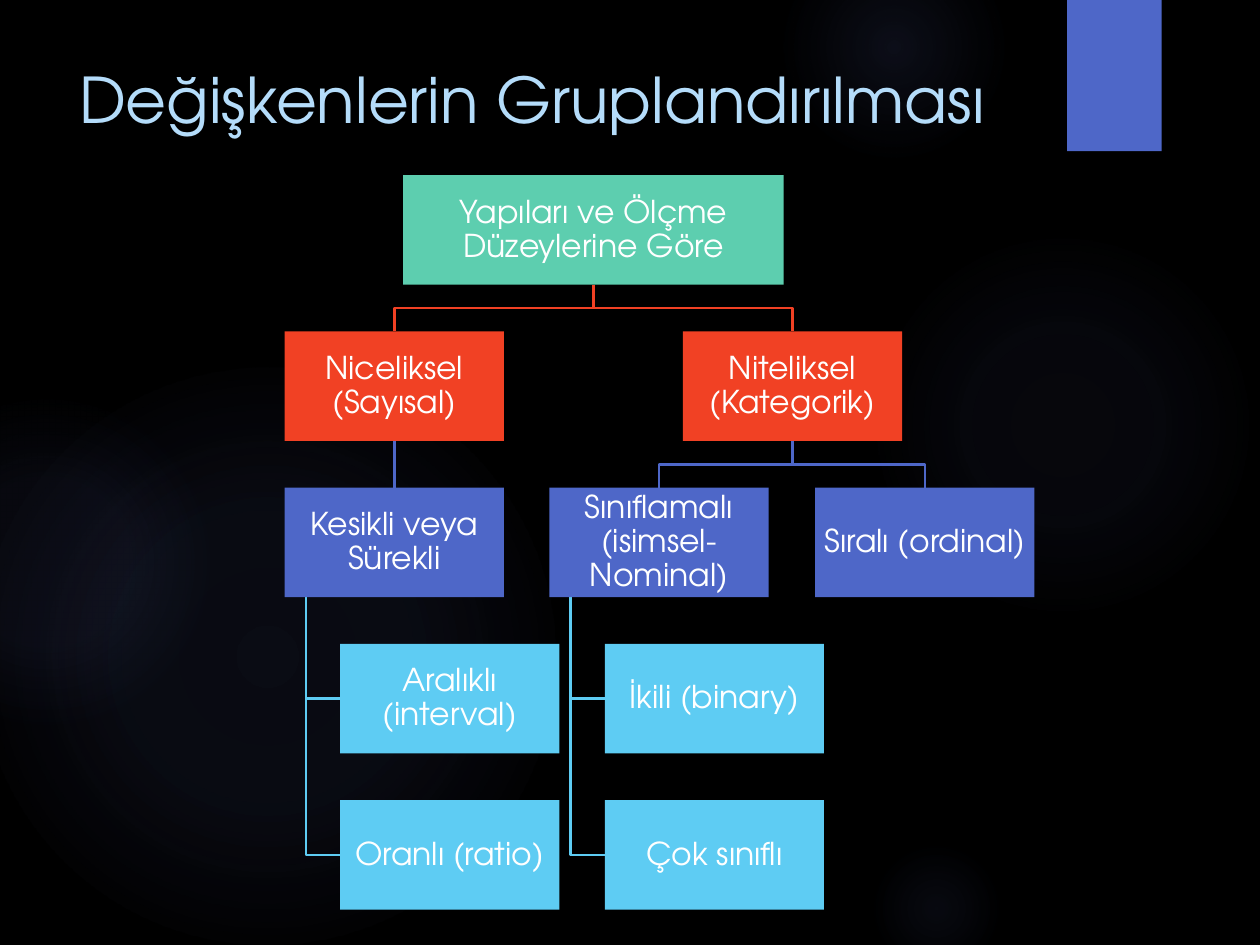
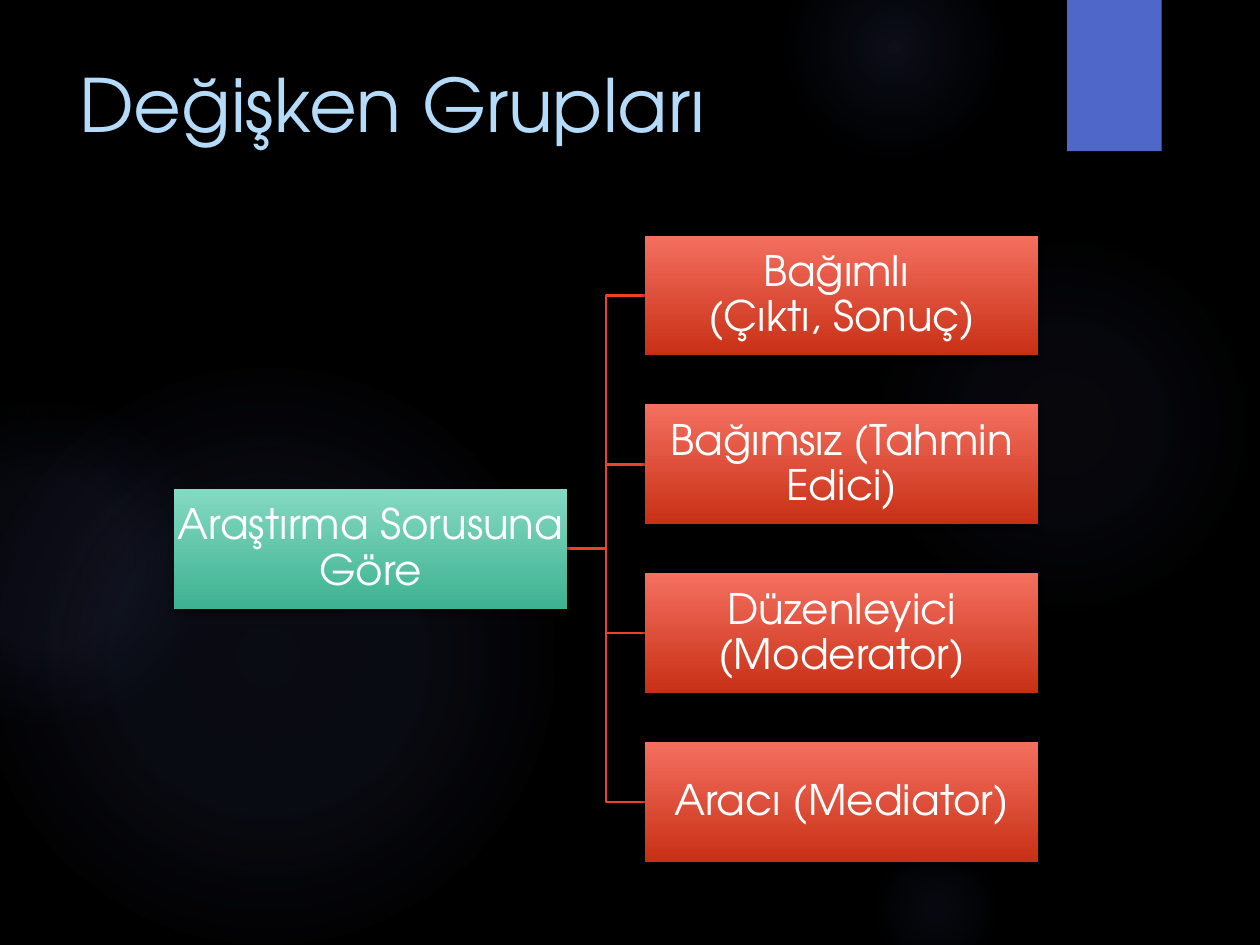
from lxml import etree
from pptx import Presentation
from pptx import util as u
from pptx.dml import color
from pptx.enum import shapes, text
from pptx.oxml import ns

COLORS = {
    "back": "000000", "title": "B4DCFA", "white": "FFFFFF", "glow": "5968B0",
    "green": "5DCEAF", "red": "F14124", "blue": "4E67C8", "sky": "5ECCF3",
    "green_top": "85D9C2", "green_end": "3EB292",
    "red_top": "F46F5F", "red_end": "C83016",
}
FONT = "TeX Gyre Adventor"
# left, top, diameter, then (position, opacity) stops in percent
GLOWS = [
    (6.89, 1.83, 3.08, [(0, 7), (36, 6), (69, 0)]),
    (6.22, -0.5, 1.75, [(0, 14), (36, 7), (73, 0)]),
    (6.89, 6.67, 1.08, [(0, 9), (36, 5), (66, 0)]),
    (-0.17, 2.92, 4.58, [(0, 11), (36, 10), (75, 0)]),
    (-0.92, 3.17, 2.58, [(0, 8), (36, 8), (72, 0)]),
]


def rgb(name):
    return color.RGBColor.from_string(COLORS[name])


def apply(obj, values):
    for name, value in values.items():
        setattr(obj, name, value)


def add_xml(parent, tag, **attrs):
    el = etree.SubElement(parent, ns.qn(tag))
    for name, value in attrs.items():
        el.set(name, str(value))
    return el


def add_color(parent, name, opacity):
    clr = add_xml(parent, "a:srgbClr", val=COLORS[name])
    if opacity < 100:
        add_xml(clr, "a:alpha", val=opacity * 1000)


class Deck:
    def __init__(self):
        self.prs = Presentation()
        self.prs.slide_width, self.prs.slide_height = u.Inches(10), u.Inches(7.5)
        self.s = None

    def slide(self, title, size, width, height):
        self.s = self.prs.slides.add_slide(self.prs.slide_layouts[6])
        fill = self.s.background.fill
        fill.solid()
        fill.fore_color.rgb = rgb("back")
        for x, y, d, stops in GLOWS:
            sp = self.shape(x, y, d, d, kind=shapes.MSO_SHAPE.OVAL)
            self.gradient(sp, [(pos, "glow", alpha) for pos, alpha in stops], round_=True)
        self.shadow(self.shape(8.47, 0, 0.75, 1.2, "blue"))
        sp = self.s.shapes.add_textbox(*map(u.Inches, (0.53, 0.5, width, height)))
        self.set_text(sp, title, size, "title")

    def shape(self, x, y, w, h, fill=None, kind=shapes.MSO_SHAPE.RECTANGLE):
        sp = self.s.shapes.add_shape(kind, *map(u.Inches, (x, y, w, h)))
        sp.shadow.inherit = False
        sp.line.fill.background()
        if fill:
            sp.fill.solid()
            sp.fill.fore_color.rgb = rgb(fill)
        return sp

    def gradient(self, sp, stops, round_=False):
        """Fill with (position, colour, opacity) stops, from the centre or downwards."""
        sp.fill.gradient()
        grad = sp.element.spPr.find(ns.qn("a:gradFill"))
        for el in list(grad):
            grad.remove(el)
        gs_list = add_xml(grad, "a:gsLst")
        for pos, name, opacity in stops:
            add_color(add_xml(gs_list, "a:gs", pos=pos * 1000), name, opacity)
        if round_:
            middle = dict.fromkeys("ltrb", 50000)
            add_xml(add_xml(grad, "a:path", path="circle"), "a:fillToRect", **middle)
        else:
            add_xml(grad, "a:lin", ang=90 * 60000, scaled=0)

    def shadow(self, sp):
        effects = sp.element.spPr.find(ns.qn("a:effectLst"))
        outer = add_xml(effects, "a:outerShdw", blurRad=u.Pt(3), dist=u.Pt(2),
                        dir=90 * 60000, rotWithShape=0)
        add_color(outer, "back", 45)

    def set_text(self, sp, words, size, ink, frame=None, para=None):
        tf = sp.text_frame
        apply(tf, {"word_wrap": True, "vertical_anchor": text.MSO_ANCHOR.TOP, **(frame or {})})
        p = tf.paragraphs[0]
        p.text = words
        apply(p, {"line_spacing": 0.9, **(para or {})})
        for r in p.runs:
            apply(r.font, {"name": FONT, "size": u.Pt(size)})
            r.font.color.rgb = rgb(ink)

    def label(self, sp, words, size, inset):
        """Centred white text inside a box."""
        sides = ("margin_left", "margin_top", "margin_right", "margin_bottom")
        frame = dict.fromkeys(sides, u.Inches(inset))
        frame["vertical_anchor"] = text.MSO_ANCHOR.MIDDLE
        para = {"alignment": text.PP_ALIGN.CENTER, "space_after": u.Pt(0.35 * size)}
        self.set_text(sp, words, size, "white", frame, para)

    def link(self, points, ink):
        """Line through the points: a connector if straight, else an open outline."""
        pts = [(u.Inches(x), u.Inches(y)) for x, y in points]
        if len(pts) == 2:
            sp = self.s.shapes.add_connector(shapes.MSO_CONNECTOR.STRAIGHT, *pts[0], *pts[1])
            add_xml(sp.element.spPr, "a:effectLst")
        else:
            fb = self.s.shapes.build_freeform(*pts[0])
            fb.add_line_segments(pts[1:], close=False)
            sp = fb.convert_to_shape()
            sp.shadow.inherit = False
            sp.fill.background()
        sp.line.color.rgb = rgb(ink)
        sp.line.width = u.Pt(1.5)


LEVELS = ["green", "red", "blue", "sky"]
ROW_TOP, ROW_STEP, BOX_W, BOX_H = 1.39, 1.24, 1.74, 0.87
ROOT_W, LEAF_INDENT, SPINE = 3.02, 0.44, 0.17
# text, centre x, children; the children of the third level are stacked leaves
VARIABLE_TREE = ("Yapıları ve Ölçme Düzeylerine Göre", 4.71, [
    ("Niceliksel (Sayısal)", 3.13, [
        ("Kesikli veya Sürekli", 3.13, ["Aralıklı (interval)", "Oranlı (ratio)"])]),
    ("Niteliksel (Kategorik)", 6.29, [
        ("Sınıflamalı (isimsel-Nominal)", 5.23, ["İkili (binary)", "Çok sınıflı"]),
        ("Sıralı (ordinal)", 7.34, [])]),
])


def draw_branch(deck, node, level=0):
    words, cx, children = node
    w = BOX_W if level else ROOT_W
    left, top = cx - w / 2, ROW_TOP + level * ROW_STEP
    bottom, next_top = top + BOX_H, top + ROW_STEP
    for i, child in enumerate(children):
        ink = LEVELS[level + 1]
        if isinstance(child, str):
            x, y = left + LEAF_INDENT, next_top + i * ROW_STEP
            mid = y + BOX_H / 2
            deck.link([(left + SPINE, bottom), (left + SPINE, mid), (x, mid)], ink)
            deck.label(deck.shape(x, y, BOX_W, BOX_H, ink), child, 18, 0.01)
            continue
        bend = (bottom + next_top) / 2
        turns = [] if child[1] == cx else [(cx, bend), (child[1], bend)]
        deck.link([(cx, bottom), *turns, (child[1], next_top)], ink)
        draw_branch(deck, child, level + 1)
    deck.label(deck.shape(left, top, w, BOX_H, LEVELS[level]), words, 18, 0.01)


ROLES = ["Bağımlı \v(Çıktı, Sonuç)", "Bağımsız (Tahmin Edici)",
         "Düzenleyici (Moderator)", "Aracı (Mediator)"]


def draw_roles(deck):
    w, h, step = 3.12, 0.95, 1.34
    question_x, role_x, role_top = 1.38, 5.12, 1.87
    question_y = role_top + step * (len(ROLES) - 1) / 2
    start, bend, mid = question_x + w, (question_x + w + role_x) / 2, question_y + h / 2

    def box(x, y, words, hue):
        sp = deck.shape(x, y, w, h)
        deck.gradient(sp, [(0, hue + "_top", 100), (100, hue + "_end", 100)])
        deck.shadow(sp)
        deck.label(sp, words, 24, 0.02)

    for i, role in enumerate(ROLES):
        y = role_top + i * step
        end = y + h / 2
        deck.link([(start, mid), (bend, mid), (bend, end), (role_x, end)], "red")
        box(role_x, y, role, "red")
    box(question_x, question_y, "Araştırma Sorusuna Göre", "green")


def main():
    deck = Deck()
    deck.slide("Değişkenlerin Gruplandırılması", 36, 9.19, 0.73)
    draw_branch(deck, VARIABLE_TREE)
    deck.slide("Değişken Grupları", 42, 7.72, 1.53)
    draw_roles(deck)
    deck.prs.save("out.pptx")


if __name__ == "__main__":
    main()
